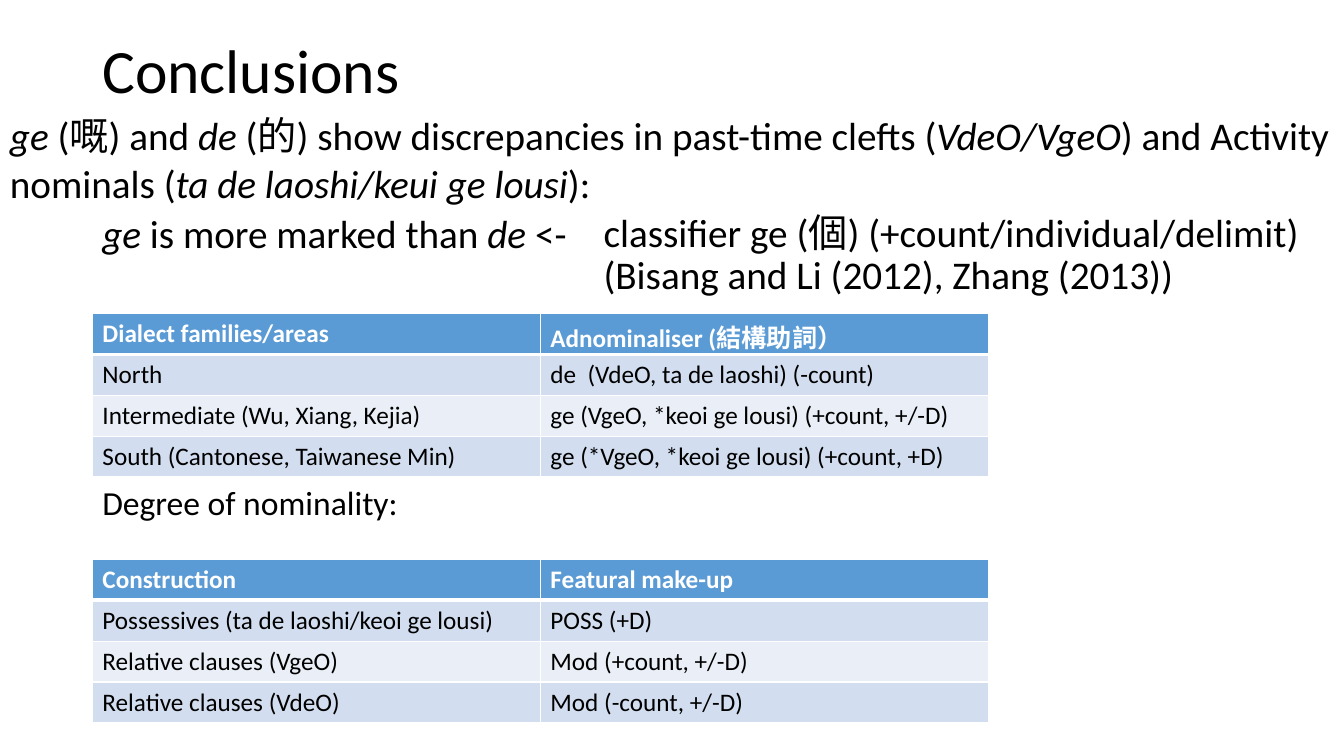
from lxml.etree import SubElement
from pptx import Presentation
from pptx.dml.color import RGBColor
from pptx.enum.text import MSO_ANCHOR as Anchor
from pptx.oxml.ns import qn
from pptx.util import Pt


def color(code):
    return RGBColor.from_string(code)


def write(frame, text, size=28, ink="000000", bold=False, line=None,
          before=None, font="Calibri"):
    """Fill a frame with one paragraph; underscores enclose italic words."""
    para = frame.paragraphs[0]
    para.line_spacing = line
    para.space_before = before
    for index, part in enumerate(text.split("_")):
        if part:
            span = para.add_run()
            span.text = part
            span.font.name = font
            span.font.size = Pt(size)
            span.font.bold = bold
            span.font.italic = index % 2 == 1
            span.font.color.rgb = color(ink)


class SlideBuilder:
    ink, paper, header = "000000", "FFFFFF", "5B9BD5"
    bands = ("D2DEEF", "EAEFF7")
    column_width, row_height = 320, 29.2

    def __init__(self, page):
        self.page = page

    def text(self, left, top, width, height, text, anchor=Anchor.TOP, **style):
        box = self.page.shapes.add_textbox(
            Pt(left), Pt(top), Pt(width), Pt(height))
        frame = box.text_frame
        frame.word_wrap = True
        frame.vertical_anchor = anchor
        write(frame, text, **style)

    def border(self, cell, side, width):
        edge = SubElement(cell._tc.get_or_add_tcPr(), qn("a:" + side),
                          w=str(Pt(width)))
        fill = SubElement(edge, qn("a:solidFill"))
        SubElement(fill, qn("a:srgbClr"), val=self.paper)

    def table(self, left, top, rows):
        columns = len(rows[0])
        table = self.page.shapes.add_table(
            len(rows), columns, Pt(left), Pt(top),
            Pt(self.column_width * columns),
            Pt(self.row_height * len(rows))).table
        for column in table.columns:
            column.width = Pt(self.column_width)
        for row_index, row in enumerate(rows):
            table.rows[row_index].height = Pt(self.row_height)
            is_header = row_index == 0
            for column_index, text in enumerate(row):
                cell = table.cell(row_index, column_index)
                write(cell.text_frame, text, size=18, bold=is_header,
                      ink=self.paper if is_header else self.ink)
                # Borders precede the fill in the cell properties
                for side in ("lnL", "lnR"):
                    self.border(cell, side, 1)
                self.border(cell, "lnT", 3 if row_index == 1 else 1)
                self.border(cell, "lnB", 3 if is_header else 1)
                cell.fill.solid()
                cell.fill.fore_color.rgb = color(
                    self.header if is_header
                    else self.bands[(row_index - 1) % 2])


def main():
    deck = Presentation()
    deck.slide_width, deck.slide_height = Pt(960), Pt(540)
    slide = SlideBuilder(deck.slides.add_slide(deck.slide_layouts[6]))
    margin, body_width = 66, 828
    body = {"line": 0.9}

    # Title and main finding
    slide.text(margin, 0, body_width, 104.4, "Conclusions",
               anchor=Anchor.MIDDLE, size=44, line=0.9)
    slide.text(0, 76.3, 960, 75,
               "_ge_ (嘅) and _de_ (的) show discrepancies in past-time clefts "
               "(_VdeO/VgeO_) and Activity nominals "
               "(_ta de laoshi/keui ge lousi_):")

    # Markedness and its source
    slide.text(margin, 149.8, body_width, 342.7,
               "_ge_ is more marked than _de_ <-", **body)
    slide.text(424, 149, 536, 342.7,
               "classifier ge (個) (+count/individual/delimit) "
               "(Bisang and Li (2012), Zhang (2013))", **body)

    # Dialect comparison
    slide.table(margin, 224, [
        ("Dialect families/areas", "Adnominaliser (結構助詞）"),
        ("North", "de  (VdeO, ta de laoshi) (-count)"),
        ("Intermediate (Wu, Xiang, Kejia)",
         "ge (VgeO, *keoi ge lousi) (+count, +/-D)"),
        ("South (Cantonese, Taiwanese Min)",
         "ge (*VgeO, *keoi ge lousi) (+count, +D)"),
    ])

    # Degree of nominality
    slide.text(margin, 340.6, body_width, 36, "Degree of nominality:", size=24)
    slide.table(margin, 399.6, [
        ("Construction", "Featural make-up"),
        ("Possessives (ta de laoshi/keoi ge lousi)", "POSS (+D)"),
        ("Relative clauses (VgeO)", "Mod (+count, +/-D)"),
        ("Relative clauses (VdeO)", "Mod (-count, +/-D)"),
    ])

    deck.save("out.pptx")


if __name__ == "__main__":
    main()
